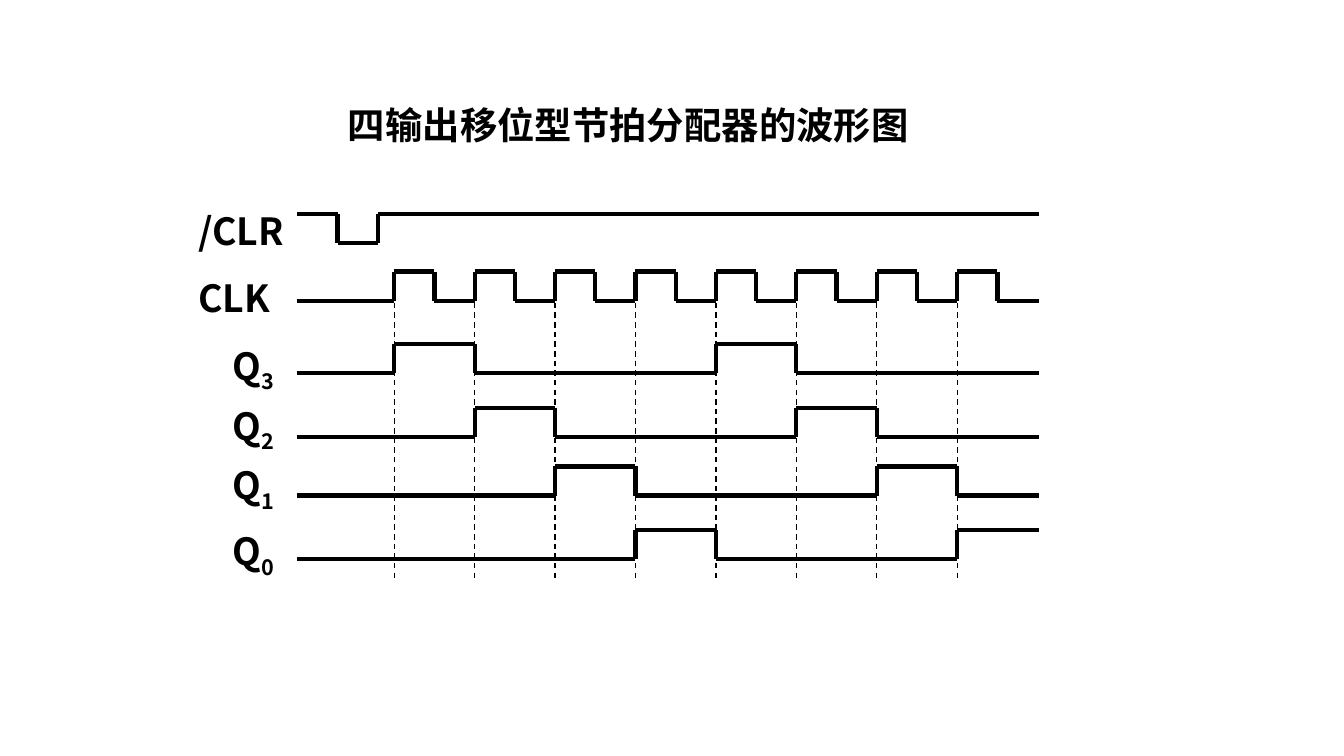
from pptx import Presentation
from pptx.dml.color import RGBColor
from pptx.enum.dml import MSO_LINE
from pptx.enum.shapes import MSO_CONNECTOR
from pptx.enum.text import MSO_ANCHOR, PP_ALIGN
from pptx.oxml.ns import qn
from pptx.util import Cm, Pt
from lxml.etree import SubElement

INK = "000000"


def write(para, text, face, base=None):
    run = para.add_run()
    run.text = text
    font = run.font
    font.size, font.bold, font.name = Pt(20), True, face
    font.color.rgb = RGBColor.from_string(INK)
    props = font._element
    SubElement(props, qn("a:ea")).set("typeface", face)
    if base:
        props.set("baseline", str(base))


def draw(x1, y1, x2, y2, width=2.25):
    line = slide.shapes.add_connector(
        MSO_CONNECTOR.STRAIGHT, Cm(x1), Cm(y1), Cm(x2), Cm(y2))
    line.line.width = Pt(width)
    line.line.color.rgb = RGBColor.from_string(INK)
    SubElement(line._element.spPr, qn("a:effectLst"))
    return line


deck = Presentation()
deck.slide_width, deck.slide_height = Cm(25.4), Cm(14.28)
slide = deck.slides.add_slide(deck.slide_layouts[5])

# Title
title = slide.shapes.title
title.left, title.top = Cm(6.32), Cm(1.9)
title.width, title.height = Cm(11.79), Cm(1.75)
frame = title.text_frame
frame.word_wrap = True
frame.vertical_anchor = MSO_ANCHOR.TOP
para = frame.paragraphs[0]
para.alignment = PP_ALIGN.LEFT
para.line_spacing = 0.9
write(para, "四输出移位型节拍分配器的波形图", "Noto Sans CJK JP")

# Time grid: one tick per rising clock edge
step, high = 1.52, 0.55
ticks = [7.45 + step * i for i in range(8)]
start, end = 5.61, 19.63
clock = [x + half for x in ticks for half in (0, step / 2)]

# Signals: name, index, label left, width and top, wave top, first level, edges
rows = [
    ("/CLR", "", 3.5, 2.87, 3.81, 4.04, 1, [6.38, 7.14]),
    ("CLK", "", 3.5, 2.74, 5.08, 5.13, 0, clock),
    ("Q", "3", 4.14, 2, 6.35, 6.5, 0, [ticks[i] for i in (0, 1, 4, 5)]),
    ("Q", "2", 4.14, 2, 7.49, 7.7, 0, [ticks[i] for i in (1, 2, 5, 6)]),
    ("Q", "1", 4.14, 2, 8.61, 8.81, 0, [ticks[i] for i in (2, 3, 6, 7)]),
    ("Q", "0", 4.14, 2, 9.86, 10.01, 0, [ticks[i] for i in (3, 4, 7)]),
]
for name, index, left, width, top, crest, level, edges in rows:
    # Label
    box = slide.shapes.add_textbox(Cm(left), Cm(top), Cm(width), Cm(1.02))
    box.text_frame.word_wrap = True
    para = box.text_frame.paragraphs[0]
    write(para, name, "Noto Sans CJK SC")
    if index:
        write(para, index, "Noto Sans CJK SC", -25000)

    # Waveform: level stretches joined by vertical edges
    x = start
    for edge in edges:
        y = crest if level else crest + high
        draw(x, y, edge, y)
        draw(edge, crest, edge, crest + high)
        x, level = edge, 1 - level
    y = crest if level else crest + high
    draw(x, y, end, y)

# Dashed guides at the clock edges
for x in ticks:
    draw(x, 5.72, x, 10.97, 0.75).line.dash_style = MSO_LINE.DASH

deck.save("out.pptx")
